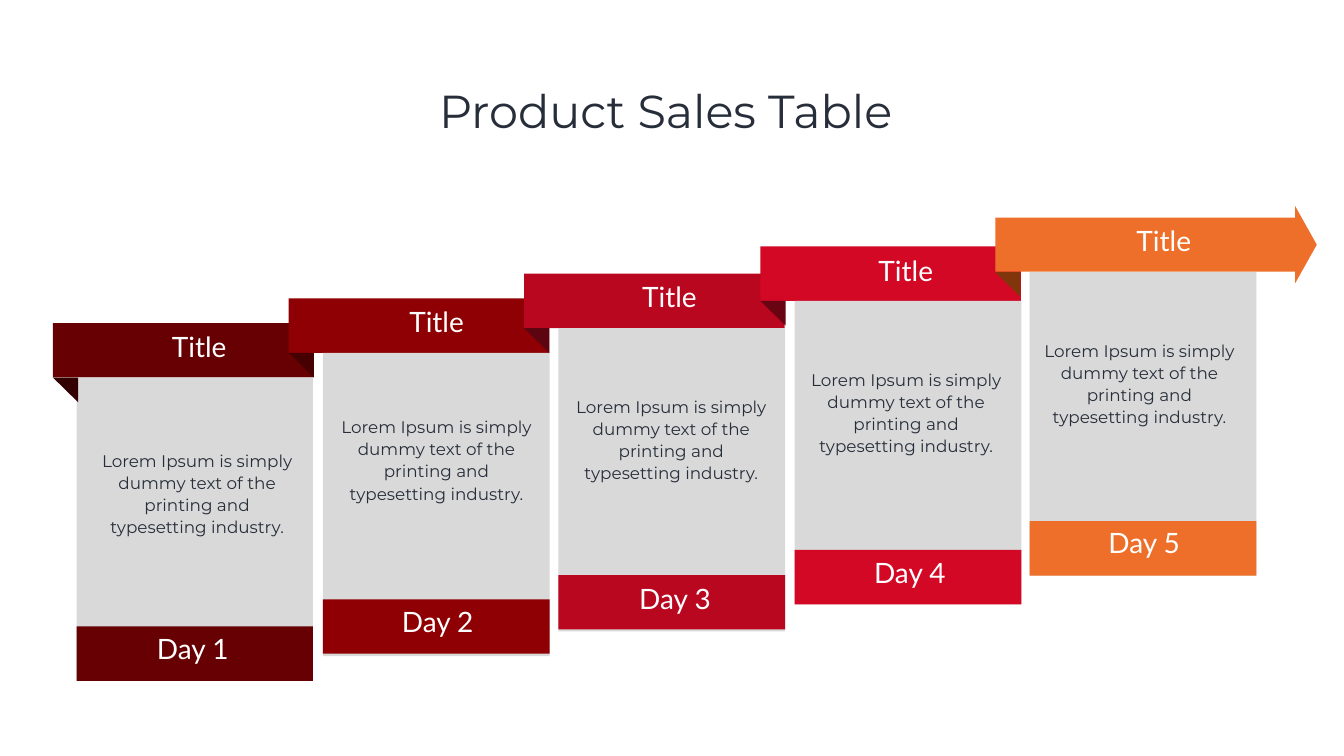
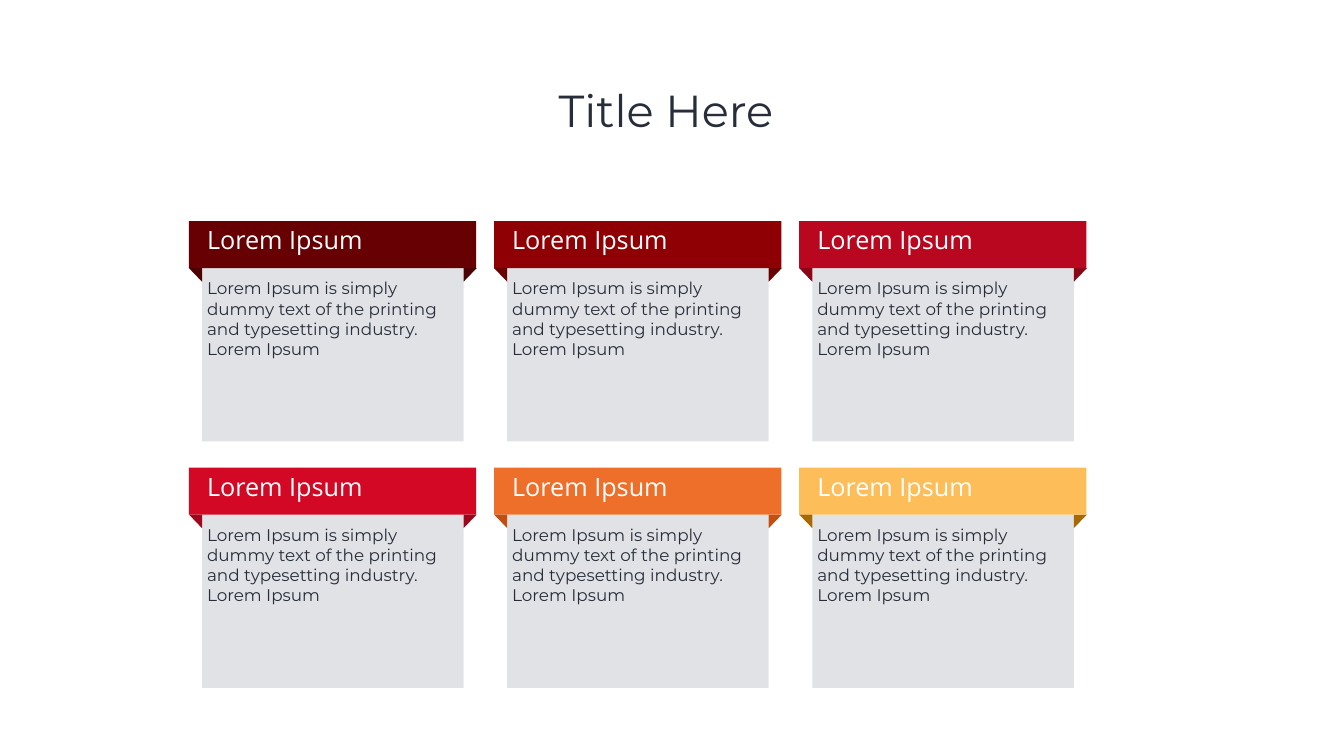
import lxml.etree
import pptx
import pptx.dml.color
import pptx.enum.shapes
import pptx.enum.text
import pptx.oxml.ns
import pptx.util

Inches = pptx.util.Inches
KIND = pptx.enum.shapes.MSO_SHAPE
ALIGN = pptx.enum.text.PP_ALIGN
FIT = pptx.enum.text.MSO_AUTO_SIZE
MIDDLE = pptx.enum.text.MSO_ANCHOR.MIDDLE

# Shared colours
INK, WHITE, GREY, SLATE = "272E3A", "FFFFFF", "D9D9D9", "384253"
WINE, BLOOD, RUBY, RED, ORANGE, GOLD = (
    "660002", "8E0003", "B9071F", "D20825", "EE6F29", "FDBD58")
LOREM = "Lorem Ipsum is simply dummy text of the printing and typesetting industry."


def paint(code):
    return pptx.dml.color.RGBColor.from_string(code)


class Deck:
    """Holds the style and the current slide."""
    body_font = "Montserrat"

    def __init__(self):
        self.show = pptx.Presentation()
        self.show.slide_width = Inches(26.67)
        self.show.slide_height = Inches(15)
        self.slide = None

    def start(self, words, size):
        """Add a slide with a centred title."""
        self.slide = self.show.slides.add_slide(self.show.slide_layouts[5])
        title = self.slide.shapes.title
        title.left, title.top = Inches(1.83), Inches(0.8)
        title.width, title.height = Inches(23), Inches(2.9)
        frame = title.text_frame
        frame.word_wrap = True
        frame.auto_size = FIT.NONE
        frame.vertical_anchor = MIDDLE
        self.words(frame, words, size, self.body_font, INK, ALIGN.CENTER, 0.9)

    def words(self, frame, words, size, font, colour, align, space=None):
        para = frame.paragraphs[0]
        para.alignment = align
        if space:
            para.line_spacing = space
        run = para.add_run()
        run.text = words
        run.font.size = pptx.util.Pt(size)
        run.font.name = font
        run.font.color.rgb = paint(colour)

    def fill(self, shape, colour, alpha=None):
        shape.shadow.inherit = False
        shape.fill.solid()
        shape.fill.fore_color.rgb = paint(colour)
        shape.line.fill.background()
        if alpha:
            tone = shape._element.spPr.find(".//" + pptx.oxml.ns.qn("a:srgbClr"))
            mark = lxml.etree.SubElement(tone, pptx.oxml.ns.qn("a:alpha"))
            mark.set("val", str(alpha * 1000))
        return shape

    def shape(self, x, y, w, h, colour, kind=KIND.RECTANGLE, alpha=None):
        item = self.slide.shapes.add_shape(
            kind, Inches(x), Inches(y), Inches(w), Inches(h))
        return self.fill(item, colour, alpha)

    def fold(self, x, y, colour):
        """Draw the shaded underside of a ribbon's left end."""
        left, right = Inches(x), Inches(x + 0.5)
        top, low = Inches(y), Inches(y + 0.49)
        pen = self.slide.shapes.build_freeform(left, top)
        pen.add_line_segments([(right, top), (right, low)], close=True)
        self.fill(pen.convert_to_shape(), colour)

    def corner(self, x, y, colour, *flips):
        item = self.shape(x, y, 0.26, 0.27, colour, KIND.RIGHT_TRIANGLE)
        for flip in flips:
            item._element.spPr.xfrm.set(flip, "1")

    def text(self, x, y, w, h, words, size, font=body_font, colour=INK,
             align=ALIGN.LEFT, wrap=False, pad=None, space=None):
        box = self.slide.shapes.add_textbox(
            Inches(x), Inches(y), Inches(w), Inches(h))
        frame = box.text_frame
        frame.word_wrap = wrap
        frame.auto_size = FIT.SHAPE_TO_FIT_TEXT
        if pad:
            frame.margin_left = frame.margin_right = Inches(pad[0])
            frame.margin_top = frame.margin_bottom = Inches(pad[1])
        self.words(frame, words, size, font, colour, align, space)

    def label(self, x, y, w, h, words):
        self.text(x, y, w, h, words, 40, "Lato", WHITE, ALIGN.CENTER)


def steps(deck):
    """Five rising panels, the last one under an arrow."""
    deck.start("Product Sales Table ", 66)
    # Colour, fold colour, ribbon left, panel left, panel width, panel top,
    # then the places of title, note, day band and day label
    rows = [
        (WINE, "330001", 1.05, 1.52, 4.69, 7.49, (3.31, 6.49), (1.7, 8.78), 12.43, (2.77, 12.49)),
        (BLOOD, "470001", 5.73, 6.41, 4.5, 7, (8.02, 5.99), (6.45, 8.11), 11.89, (7.63, 11.94)),
        (RUBY, "5C040F", 10.4, 11.08, 4.5, 6.51, (12.64, 5.49), (11.11, 7.71), 11.41, (12.34, 11.48)),
        (RED, "690412", 15.09, 15.77, 4.5, 5.97, (17.33, 4.98), (15.77, 7.17), 10.91, (17, 10.98)),
        (ORANGE, "81350A", 19.75, 20.43, 4.5, 5.4, (22.45, 4.39), (20.4, 6.6), 10.34, (21.65, 10.38)),
    ]
    for day, row in enumerate(rows, 1):
        tone, dark, left, edge, wide, top, head, note, base, tag = row
        # Ribbon or arrow, then panel and fold
        if day == len(rows):
            arrow = deck.shape(left, 4.09, 6.38, 1.53, tone, KIND.RIGHT_ARROW)
            arrow.adjustments[0], arrow.adjustments[1] = 0.7, 0.28
        else:
            deck.shape(left, top - 1.08, 5.17, 1.08, tone)
        deck.shape(edge, top, wide, 6.02, GREY)
        deck.fold(left, top, dark)
        # Day band and words
        deck.shape(edge, base, wide, 1.08, tone)
        deck.label(*head, 1.43, 0.77, "Title ")
        deck.text(*note, 4.42, 1.99, LOREM, 24, align=ALIGN.CENTER,
                  wrap=True, pad=(0.24, 0.12), space=1.1)
        deck.label(*tag, 2.11, 0.86, f"Day {day}")


def cards(deck):
    """Two rows of three cards with wrapped ribbons."""
    deck.start("Title Here ", 64)
    tones = [(WINE, "4D0001"), (BLOOD, "6A0002"), (RUBY, "8B0517"),
             (RED, "9D061C"), (ORANGE, "C24F0F"), (GOLD, "A86802")]
    for i, (tone, dark) in enumerate(tones):
        row, col = divmod(i, 3)
        x, y = 3.75 + col * 12.11 / 2, 4.39 + row * 4.89
        inner, top = x + 0.26, y + 0.93
        deck.shape(inner, top, 5.19, 3.44, SLATE, alpha=15)
        deck.corner(x + 5.45, top, dark, "flipV")
        deck.shape(x, y, 5.7, 0.93, tone)
        deck.corner(x, top, dark, "flipH", "flipV")
        deck.text(inner, y + 0.02, 3.34, 0.71, "Lorem Ipsum", 36, "Open Sans", WHITE)
        deck.text(inner, y + 1.08, 5.19, 1.72, LOREM + " Lorem Ipsum", 24, wrap=True)


def main():
    deck = Deck()
    steps(deck)
    cards(deck)
    deck.show.save("out.pptx")


if __name__ == "__main__":
    main()
